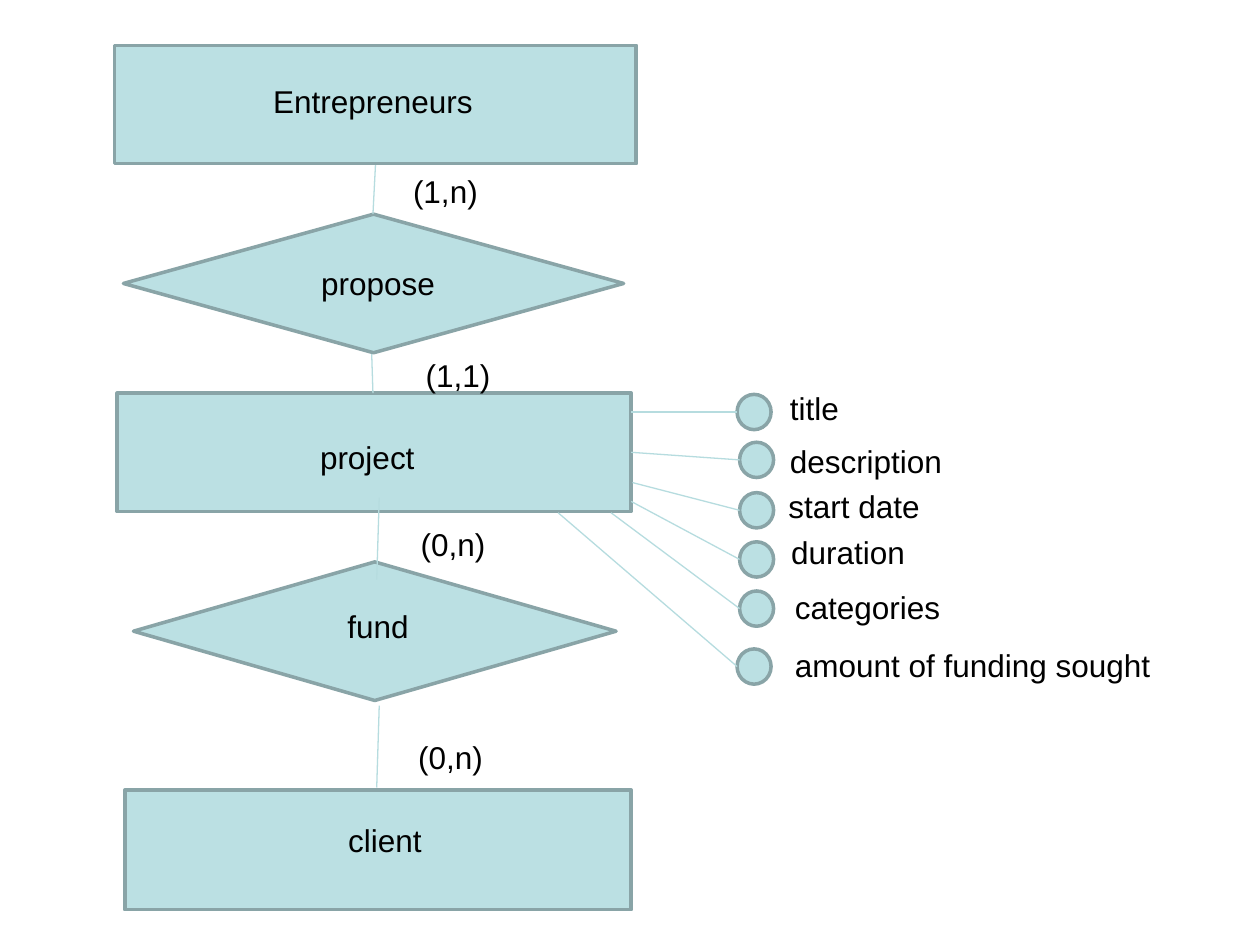
from dataclasses import dataclass

from lxml.etree import SubElement
from pptx import Presentation
from pptx.dml.color import RGBColor
from pptx.enum.shapes import MSO_CONNECTOR, MSO_SHAPE
from pptx.enum.text import MSO_AUTO_SIZE, PP_ALIGN
from pptx.oxml.ns import qn
from pptx.util import Emu, Inches, Pt

RECTANGLE = MSO_SHAPE.RECTANGLE
DIAMOND = MSO_SHAPE.FLOWCHART_DECISION
OVAL = MSO_SHAPE.OVAL
STRAIGHT = MSO_CONNECTOR.STRAIGHT
LEFT, CENTER = PP_ALIGN.LEFT, PP_ALIGN.CENTER
FIT_TEXT = MSO_AUTO_SIZE.SHAPE_TO_FIT_TEXT

FILL, BORDER, LINK, INK = "BBE0E3", "89A4A7", "B6DCDF", "000000"

# The slide is a grid of 100 columns by 75 rows; every length counts cells
COLUMNS, ROWS = 100, 75
LABEL_ROWS = 4
DOT_COLUMNS, DOT_ROWS = 2.7, 2.8


@dataclass(frozen=True)
class Box:
    column: float
    row: float
    columns: float
    rows: float = LABEL_ROWS


@dataclass(frozen=True)
class Node:
    name: str
    outline: MSO_SHAPE
    box: Box
    label: Box


@dataclass(frozen=True)
class Link:
    start: tuple[float, float]
    end: tuple[float, float]
    cardinality: str
    label: Box


@dataclass(frozen=True)
class Attribute:
    name: str
    dot: tuple[float, float]
    label: Box
    origin: tuple[float, float]


NODES = [
    Node("Entrepreneurs", RECTANGLE, Box(9.1, 3.6, 41.4, 9.4), Box(12.3, 6, 34.6)),
    Node("propose", DIAMOND, Box(9.8, 17, 39.7, 11), Box(20.1, 20.5, 19.8)),
    Node("project", RECTANGLE, Box(9.3, 31.2, 40.8, 9.4), Box(14.6, 34.3, 29.1)),
    Node("fund", DIAMOND, Box(10.6, 44.6, 38.3, 11), Box(20.9, 47.7, 18.2)),
    Node("client", RECTANGLE, Box(9.9, 62.7, 40.2, 9.5), Box(17.4, 64.7, 26.3)),
]

LINKS = [
    Link((29.8, 13.1), (29.6, 17), "(1,n)", Box(31.8, 13.2, 12.7)),
    Link((29.5, 28.1), (29.6, 31.2), "(1,1)", Box(32.8, 27.8, 14)),
    Link((30.1, 39.5), (29.9, 46), "(0,n)", Box(32.4, 41.2, 12.9)),
    Link((30.1, 56), (29.9, 62.5), "(0,n)", Box(32.2, 58.1, 13.8)),
]

ATTRIBUTES = [
    Attribute("title", (58.5, 31.3), Box(61.7, 30.4, 19.8), (50.1, 32.7)),
    Attribute("description", (58.7, 35.1), Box(61.7, 34.6, 16.7), (50.1, 35.9)),
    Attribute("start date", (58.7, 39.1), Box(61.6, 38.2, 14.4), (50.2, 38.3)),
    Attribute("duration", (58.7, 43), Box(61.8, 41.8, 11), (50.1, 39.8)),
    Attribute("categories", (58.7, 46.9), Box(62.1, 46.2, 14.9), (48.5, 40.7)),
    Attribute("amount of funding sought", (58.5, 51.5), Box(62.1, 50.8, 32.7), (44.3, 40.7)),
]

prs = Presentation()
prs.slide_width, prs.slide_height = Inches(10), Inches(7.5)
slide = prs.slides.add_slide(prs.slide_layouts[6])


def color(hex_code: str) -> RGBColor:
    return RGBColor.from_string(hex_code)


def point(column: float, row: float) -> tuple[Emu, Emu]:
    return (Emu(round(prs.slide_width * column / COLUMNS)),
            Emu(round(prs.slide_height * row / ROWS)))


def place(box: Box) -> tuple[Emu, ...]:
    return point(box.column, box.row) + point(box.columns, box.rows)


def draw_shape(outline: MSO_SHAPE, box: Box) -> None:
    shape = slide.shapes.add_shape(outline, *place(box))
    shape.shadow.inherit = False
    shape.fill.solid()
    shape.fill.fore_color.rgb = color(FILL)
    shape.line.color.rgb = color(BORDER)
    shape.line.width = Pt(2)
    # Rounded corners on the border
    SubElement(shape._element.spPr.find(qn("a:ln")), qn("a:round"))


def draw_line(start: tuple[float, float], end: tuple[float, float]) -> None:
    line = slide.shapes.add_connector(STRAIGHT, *point(*start), *point(*end))
    line.line.color.rgb = color(LINK)
    line.line.width = Pt(0.75)
    SubElement(line._element.spPr, qn("a:effectLst"))


def draw_label(text: str, box: Box, alignment: PP_ALIGN = LEFT) -> None:
    frame = slide.shapes.add_textbox(*place(box)).text_frame
    frame.word_wrap = True
    frame.auto_size = FIT_TEXT
    paragraph = frame.paragraphs[0]
    paragraph.alignment = alignment
    run = paragraph.add_run()
    run.text = text
    run.font.name = "Arial"
    run.font.size = Pt(18)
    run.font.color.rgb = color(INK)


# Entities and relationships
for node in NODES:
    draw_shape(node.outline, node.box)
    draw_label(node.name, node.label, CENTER)

# Links with their cardinalities
for link in LINKS:
    draw_line(link.start, link.end)
    draw_label(link.cardinality, link.label)

# Attributes of the project
for attribute in ATTRIBUTES:
    dot_column, dot_row = attribute.dot
    draw_shape(OVAL, Box(dot_column, dot_row, DOT_COLUMNS, DOT_ROWS))
    draw_line(attribute.origin, (dot_column, dot_row + DOT_ROWS / 2))
    draw_label(attribute.name, attribute.label)

prs.save("out.pptx")
